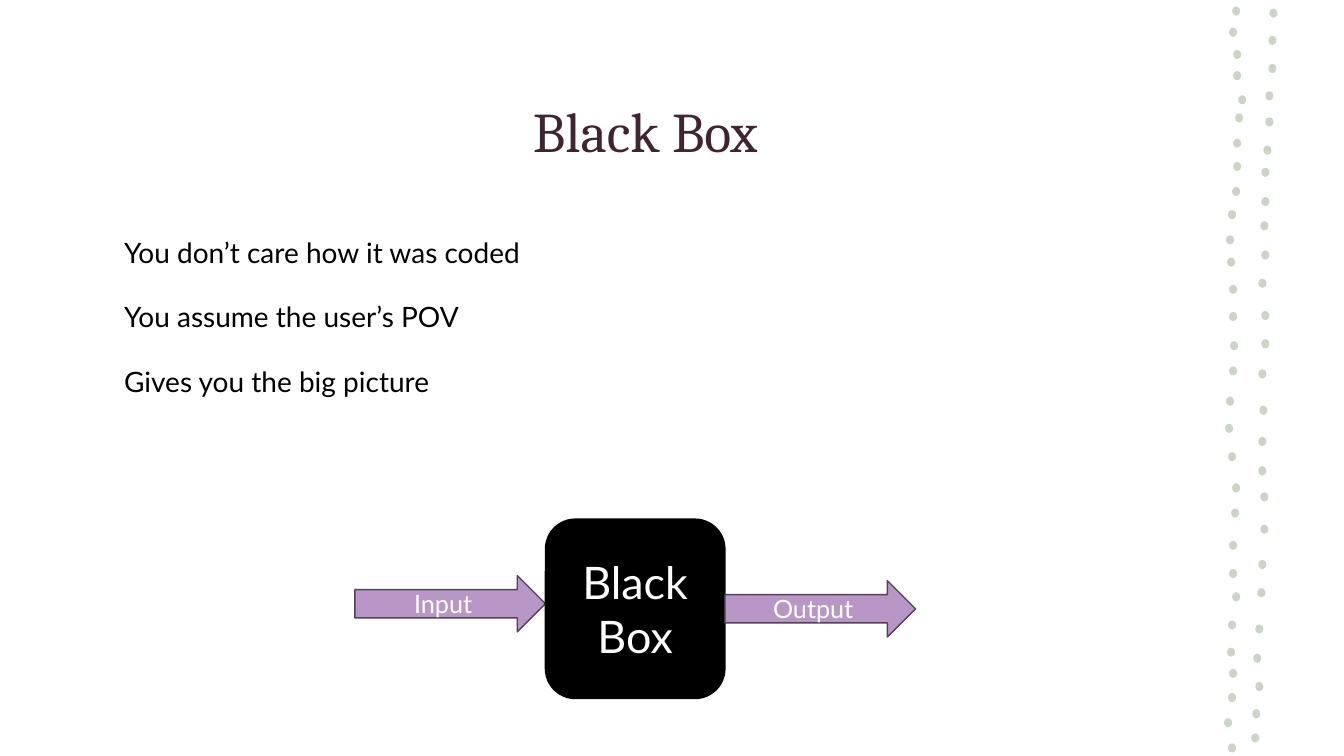
"""Builds the Black Box slide: three points, a flow diagram and a dotted border."""
from dataclasses import dataclass

from lxml import etree
from pptx import Presentation
from pptx import util as u
from pptx.dml.color import RGBColor
from pptx.enum import shapes, text
from pptx.oxml import ns

TITLE = "Black Box"
POINTS = [
    "You don’t care how it was coded",
    "You assume the user’s POV",
    "Gives you the big picture",
]
INPUT, OUTPUT = "Input", "Output"
BOX_LINES = ["Black", "Box"]

LEFT_DOTS = [
    (12.26, 0.11), (12.23, 0.32), (12.27, 0.54), (12.27, 0.75), (12.32, 0.99),
    (12.29, 1.17), (12.27, 1.42), (12.27, 1.65), (12.26, 1.90), (12.22, 2.13),
    (12.20, 2.38), (12.21, 2.60), (12.23, 2.87), (12.23, 3.14), (12.24, 3.43),
    (12.23, 3.68), (12.20, 3.98), (12.19, 4.25), (12.22, 4.53), (12.26, 4.84),
    (12.25, 5.09), (12.23, 5.41), (12.23, 5.69), (12.26, 5.92), (12.22, 6.20),
    (12.21, 6.47), (12.23, 6.68), (12.22, 6.92), (12.18, 7.17), (12.22, 7.42),
]
RIGHT_DOTS = [
    (12.63, 0.13), (12.62, 0.40), (12.62, 0.68), (12.59, 0.95), (12.59, 1.21),
    (12.57, 1.49), (12.55, 1.71), (12.55, 2.00), (12.54, 2.24), (12.55, 2.53),
    (12.52, 2.81), (12.55, 3.13), (12.55, 3.41), (12.52, 3.71), (12.53, 4.07),
    (12.52, 4.38), (12.52, 4.67), (12.54, 4.93), (12.54, 5.25), (12.52, 5.60),
    (12.51, 5.88), (12.49, 6.24), (12.47, 6.53), (12.49, 6.81), (12.46, 7.08),
    (12.45, 7.32),
]
SPECKS = [(12.56, 1.18)]
DOT_SIZE, SPECK_SIZE = (0.08, 0.09), (0.01, 0.01)

BOX_LEFT, BOX_TOP, BOX_SIDE = 5.41, 5.15, 1.78
ARROW_WIDTH, ARROW_HEIGHT = 1.89, 0.56
INPUT_TOP, OUTPUT_TOP = 5.71, 5.76


@dataclass(frozen=True)
class Theme:
    """Colours, fonts and type sizes."""
    heading_font: str = "Cambria"
    body_font: str = "Lato"
    heading: str = "412431"
    ink: str = "000000"
    paper: str = "FFFFFF"
    arrow: str = "B896C6"
    arrow_edge: str = "514257"
    dot: str = "CCD4C8"
    title_size: int = 40
    box_size: int = 32
    point_size: int = 20
    arrow_size: int = 18


THEME = Theme()


def place(shape, left, top, width, height):
    """Move and size a shape, in inches."""
    shape.left, shape.top = u.Inches(left), u.Inches(top)
    shape.width, shape.height = u.Inches(width), u.Inches(height)


def write(frame, lines, font, size, color, align):
    """Fill a text frame with one paragraph per line and return the paragraphs."""
    frame.text = "\n".join(lines)
    for para in frame.paragraphs:
        para.alignment = align
        para.font.name = font
        para.font.size = u.Pt(size)
        para.font.color.rgb = RGBColor.from_string(color)
    return frame.paragraphs


def draw(parent, kind, area, fill, edge=None):
    """Add a flat preset shape, outlined when an edge colour is given."""
    shape = parent.add_shape(kind, *map(u.Inches, area))
    shape.shadow.inherit = False
    shape.fill.solid()
    shape.fill.fore_color.rgb = RGBColor.from_string(fill)
    if edge:
        shape.line.color.rgb = RGBColor.from_string(edge)
        shape.line.width = u.Pt(1)
    else:
        shape.line.fill.background()
    return shape


def add_dots(page):
    """Draw the two dotted strands as one group."""
    group = page.shapes.add_group_shape()
    for centers, (width, height) in [(LEFT_DOTS + RIGHT_DOTS, DOT_SIZE),
                                     (SPECKS, SPECK_SIZE)]:
        for x, y in centers:
            area = (x - width / 2, y - height / 2, width, height)
            draw(group.shapes, shapes.MSO_SHAPE.OVAL, area, THEME.dot)


def add_title(page):
    """Fill the title placeholder."""
    title = page.shapes.title
    place(title, 1.13, 0.57, 10.54, 1.45)
    title.text_frame.vertical_anchor = text.MSO_ANCHOR.MIDDLE
    write(title.text_frame, [TITLE], THEME.heading_font, THEME.title_size,
          THEME.heading, text.PP_ALIGN.CENTER)


def add_points(page):
    """Fill the body placeholder with unbulleted points."""
    body = page.placeholders[1]
    place(body, 1.13, 2.12, 6.66, 1.84)
    frame = body.text_frame
    frame.auto_size = text.MSO_AUTO_SIZE.SHAPE_TO_FIT_TEXT
    for para in write(frame, POINTS, THEME.body_font, THEME.point_size,
                      THEME.ink, text.PP_ALIGN.LEFT):
        para.line_spacing = 1.5
        para.space_before = u.Pt(10)
        properties = para._p.get_or_add_pPr()
        properties.set("marL", "0")
        properties.set("indent", "0")
        bullet = etree.Element(ns.qn("a:buNone"))
        properties.insert_element_before(bullet, "a:tabLst", "a:defRPr", "a:extLst")


def add_flow(page):
    """Draw the input arrow, the box and the output arrow."""
    arrow, rounded = shapes.MSO_SHAPE.RIGHT_ARROW, shapes.MSO_SHAPE.ROUNDED_RECTANGLE
    arrow_style = (THEME.arrow, THEME.arrow_edge, THEME.arrow_size)
    box_style = (THEME.ink, THEME.ink, THEME.box_size)
    steps = [
        (arrow, (BOX_LEFT - ARROW_WIDTH, INPUT_TOP, ARROW_WIDTH, ARROW_HEIGHT),
         [INPUT], arrow_style),
        (rounded, (BOX_LEFT, BOX_TOP, BOX_SIDE, BOX_SIDE), BOX_LINES, box_style),
        (arrow, (BOX_LEFT + BOX_SIDE, OUTPUT_TOP, ARROW_WIDTH, ARROW_HEIGHT),
         [OUTPUT], arrow_style),
    ]
    for kind, area, lines, (fill, edge, size) in steps:
        step = draw(page.shapes, kind, area, fill, edge)
        step.text_frame.vertical_anchor = text.MSO_ANCHOR.MIDDLE
        write(step.text_frame, lines, THEME.body_font, size, THEME.paper,
              text.PP_ALIGN.CENTER)


def main():
    """Build and save the deck."""
    deck = Presentation()
    deck.slide_width, deck.slide_height = u.Inches(13.33), u.Inches(7.5)
    page = deck.slides.add_slide(deck.slide_layouts[1])
    add_dots(page)
    add_title(page)
    add_points(page)
    add_flow(page)
    deck.save("out.pptx")


if __name__ == "__main__":
    main()
